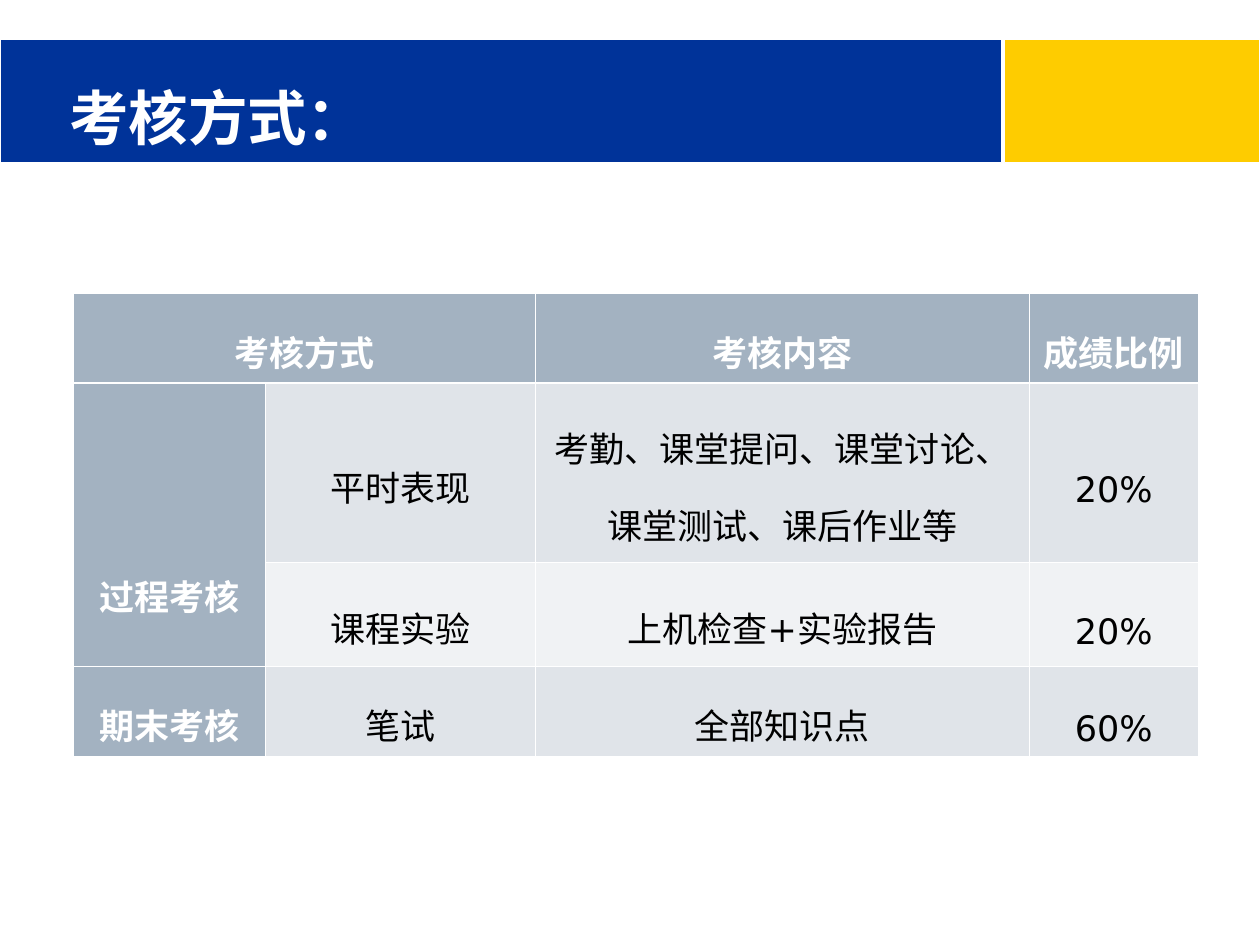
from dataclasses import dataclass

from lxml import etree
from pptx import Presentation
from pptx import util as u
from pptx.dml.color import RGBColor
from pptx.enum import shapes, text
from pptx.oxml.ns import qn

WHITE, BLACK = "FFFFFF", "000000"
HEADING, BAND_DARK, BAND_LIGHT = "A3B2C1", "E0E4E9", "F0F2F4"
COLUMN_WIDTHS = (1.53, 2.14, 3.92, 1.34)
ROW_HEIGHTS = (0.67, 1.42, 0.83, 0.69)
THIN, THICK = 0.45, 1.47


@dataclass(frozen=True)
class Band:
    left: float
    width: float
    color: str


@dataclass(frozen=True)
class Entry:
    row: int
    column: int
    wording: str
    fill: str
    font: str = "DejaVu Sans"
    heading: bool = False
    row_span: int = 1
    column_span: int = 1
    anchor: text.MSO_ANCHOR = text.MSO_ANCHOR.MIDDLE
    top_margin: float = 0.05


BANDS = (Band(7.97, 2.03, "FECC00"), Band(0, 7.95, "003399"))
TOP = text.MSO_ANCHOR.TOP
ENTRIES = (
    Entry(0, 0, "考核方式", HEADING, heading=True, column_span=2, anchor=TOP),
    Entry(0, 2, "考核内容", HEADING, heading=True),
    Entry(0, 3, "成绩比例", HEADING, heading=True),
    Entry(1, 0, "过程考核", HEADING, heading=True, row_span=2, anchor=TOP, top_margin=1.27),
    Entry(1, 1, "平时表现", BAND_DARK),
    Entry(1, 2, "考勤、课堂提问、课堂讨论、课堂测试、课后作业等", BAND_DARK, "Calibri"),
    Entry(1, 3, "20%", BAND_DARK),
    Entry(2, 1, "课程实验", BAND_LIGHT, "Calibri"),
    Entry(2, 2, "上机检查+实验报告", BAND_LIGHT),
    Entry(2, 3, "20%", BAND_LIGHT),
    Entry(3, 0, "期末考核", HEADING, heading=True, anchor=TOP),
    Entry(3, 1, "笔试", BAND_DARK),
    Entry(3, 2, "全部知识点", BAND_DARK),
    Entry(3, 3, "60%", BAND_DARK),
)


def rgb(value: str) -> RGBColor:
    return RGBColor.from_string(value)


def style_paragraph(paragraph, font_name: str, size: float, color: str, bold: bool) -> None:
    font = paragraph.font
    font.name = font_name
    font.size = u.Pt(size)
    font.bold = bold
    font.color.rgb = rgb(color)


def draw_band(slide, band: Band) -> None:
    shape = slide.shapes.add_shape(
        shapes.MSO_SHAPE.RECTANGLE,
        u.Inches(band.left), u.Inches(0.31), u.Inches(band.width), u.Inches(0.98),
    )
    shape.shadow.inherit = False
    shape.fill.solid()
    shape.fill.fore_color.rgb = rgb(band.color)
    shape.line.color.rgb = rgb(WHITE)
    shape.line.width = u.Pt(0.75)


def draw_title(slide, wording: str) -> None:
    box = slide.shapes.add_textbox(u.Inches(0.33), u.Inches(0.5), u.Inches(9.34), u.Inches(0.76))
    frame = box.text_frame
    frame.word_wrap = True
    frame.vertical_anchor = text.MSO_ANCHOR.BOTTOM
    frame.margin_left = u.Inches(0.22)
    paragraph = frame.paragraphs[0]
    paragraph.text = wording
    style_paragraph(paragraph, "Noto Sans CJK SC", 34, WHITE, True)


def set_borders(cell, row: int) -> None:
    properties = cell._tc.get_or_add_tcPr()
    widths = {
        "a:lnL": THIN,
        "a:lnR": THIN,
        "a:lnT": THICK if row == 1 else THIN,
        "a:lnB": THICK if row == 0 else THIN,
    }
    for position, (tag, width) in enumerate(widths.items()):
        line = etree.Element(qn(tag), w=str(u.Pt(width)))
        fill = etree.SubElement(line, qn("a:solidFill"))
        etree.SubElement(fill, qn("a:srgbClr"), val=WHITE)
        properties.insert(position, line)


def fill_entry(table, entry: Entry) -> None:
    cell = table.cell(entry.row, entry.column)
    last_row = entry.row + entry.row_span - 1
    last_column = entry.column + entry.column_span - 1
    if (last_row, last_column) != (entry.row, entry.column):
        cell.merge(table.cell(last_row, last_column))
    for row in range(entry.row, last_row + 1):
        for column in range(entry.column, last_column + 1):
            part = table.cell(row, column)
            part.fill.solid()
            part.fill.fore_color.rgb = rgb(entry.fill)
            set_borders(part, row)
    cell.vertical_anchor = entry.anchor
    cell.margin_left = cell.margin_right = u.Inches(0.08)
    cell.margin_top = u.Inches(entry.top_margin)
    cell.margin_bottom = u.Inches(0.05)
    paragraph = cell.text_frame.paragraphs[0]
    paragraph.text = entry.wording
    paragraph.alignment = text.PP_ALIGN.CENTER
    paragraph.line_spacing = u.Pt(44)
    color = WHITE if entry.heading else BLACK
    style_paragraph(paragraph, entry.font, 20, color, entry.heading)


def draw_table(slide) -> None:
    table = slide.shapes.add_table(
        len(ROW_HEIGHTS), len(COLUMN_WIDTHS), u.Inches(0.58), u.Inches(2.33),
        u.Inches(sum(COLUMN_WIDTHS)), u.Inches(sum(ROW_HEIGHTS)),
    ).table
    for column, width in zip(table.columns, COLUMN_WIDTHS):
        column.width = u.Inches(width)
    for row, height in zip(table.rows, ROW_HEIGHTS):
        row.height = u.Inches(height)
    for entry in ENTRIES:
        fill_entry(table, entry)


def main() -> None:
    presentation = Presentation()
    presentation.slide_width = u.Inches(10)
    presentation.slide_height = u.Inches(7.5)
    slide = presentation.slides.add_slide(presentation.slide_layouts[6])
    for band in BANDS:
        draw_band(slide, band)
    draw_title(slide, "考核方式：")
    draw_table(slide)
    presentation.save("out.pptx")


if __name__ == "__main__":
    main()
